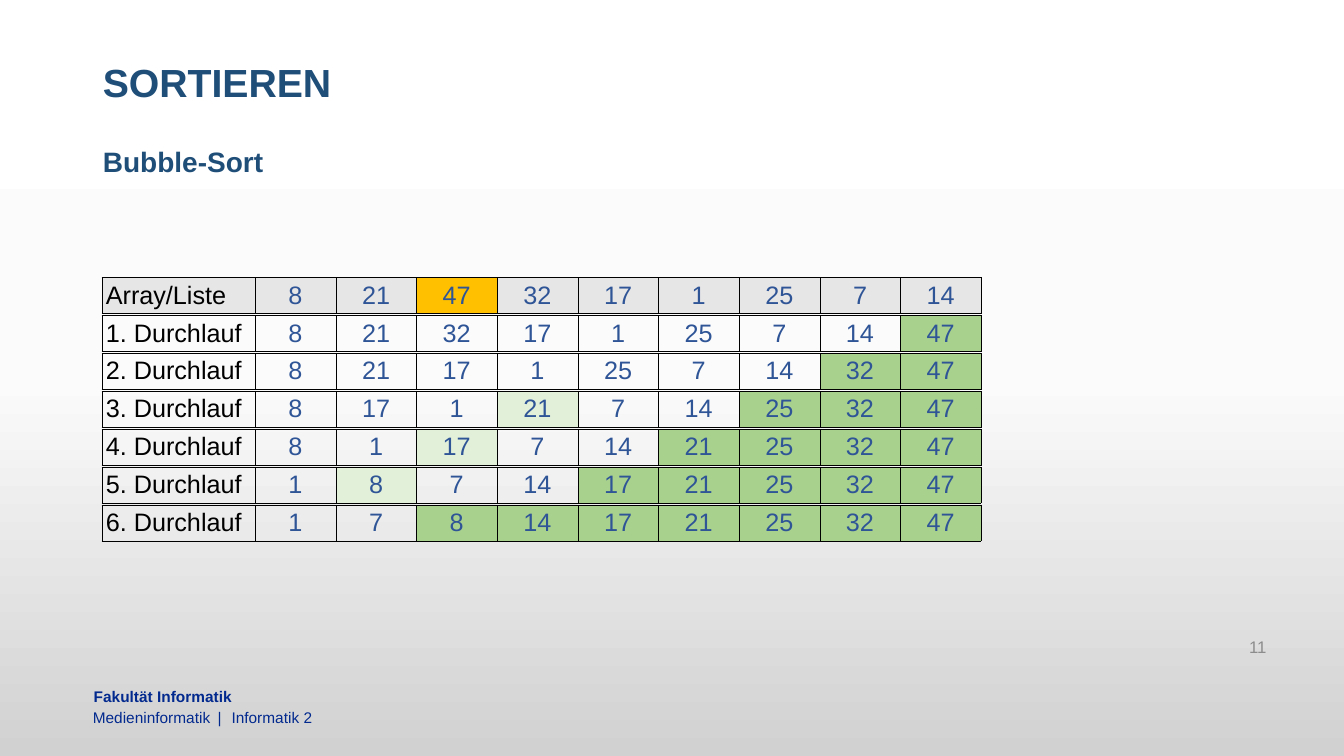
from copy import deepcopy
from dataclasses import dataclass

from lxml.etree import SubElement as Sub
from pptx import Presentation
from pptx.dml.color import RGBColor
from pptx.enum.text import MSO_ANCHOR as Anchor, MSO_AUTO_SIZE as Fit, PP_ALIGN as Align
from pptx.oxml.ns import qn
from pptx.util import Inches, Pt

NAVY = RGBColor(0x1F, 0x4E, 0x79)
ROYAL = RGBColor(0x02, 0x29, 0x8E)
BLUE = RGBColor(0x2F, 0x55, 0x97)
BLACK = RGBColor(0, 0, 0)
GREY = RGBColor(0x8C, 0x8C, 0x8C)
SILVER = RGBColor(0xE7, 0xE6, 0xE6)
GOLD = RGBColor(0xFF, 0xC0, 0x00)
GREEN = RGBColor(0xA9, 0xD1, 0x8E)
PALE = RGBColor(0xE2, 0xF0, 0xD9)
SHADES = [(0, RGBColor(0xFF, 0xFF, 0xFF)), (0.5, RGBColor(0xFB, 0xFB, 0xFB)),
          (1, RGBColor(0xD1, 0xD1, 0xD1))]

LEFT, TOP, LAST = 1.01, 2.75, 5.01
LABEL, CELL, ROW = 1.52, 0.8, 0.36


@dataclass
class Pass:
    """One state of the list: done counts the sorted values at its end."""
    label: str
    nums: list[int]
    done: int = 0
    mark: int | None = None
    tint: RGBColor = PALE
    base: RGBColor | None = None

    def shade(self, col: int) -> RGBColor | None:
        if col == self.mark:
            return self.tint
        return GREEN if col > len(self.nums) - self.done else self.base


@dataclass
class Note:
    text: str
    box: tuple[float, float, float, float]
    size: float
    color: RGBColor
    bold: bool = False
    align: Align = Align.LEFT
    anchor: Anchor = Anchor.TOP
    inset: float = 0


PASSES = [
    Pass("Array/Liste", [8, 21, 47, 32, 17, 1, 25, 7, 14], 0, 3, GOLD, SILVER),
    Pass("1. Durchlauf", [8, 21, 32, 17, 1, 25, 7, 14, 47], 1),
    Pass("2. Durchlauf", [8, 21, 17, 1, 25, 7, 14, 32, 47], 2),
    Pass("3. Durchlauf", [8, 17, 1, 21, 7, 14, 25, 32, 47], 3, 4),
    Pass("4. Durchlauf", [8, 1, 17, 7, 14, 21, 25, 32, 47], 4, 3),
    Pass("5. Durchlauf", [1, 8, 7, 14, 17, 21, 25, 32, 47], 5, 2),
    Pass("6. Durchlauf", [1, 7, 8, 14, 17, 21, 25, 32, 47], 7),
]
TITLE = Note("SORTIEREN", (0.92, 0.35, 11.5, 0.98), 28, NAVY, True,
             anchor=Anchor.MIDDLE, inset=0.1)
TOPIC = Note("Bubble-Sort", (0.92, 1.42, 11.5, 0.5), 20, NAVY, True, inset=0.1)
SCHOOL = Note("Fakultät Informatik", (0.93, 6.82, 8.5, 0.2), 11, ROYAL, True)
COURSE = Note("Medieninformatik", (0.92, 7.02, 8.52, 0.19), 11, ROYAL)
NUMBER = Note("11", (9.55, 6.22, 3.11, 0.4), 12, GREY, align=Align.RIGHT,
              anchor=Anchor.MIDDLE, inset=0.1)


def style(par, size: float, color: RGBColor, bold: bool, align: Align) -> None:
    par.alignment = align
    font = par.font
    font.name, font.size, font.bold = "Arial", Pt(size), bold
    font.color.rgb = color


def write(shape, note: Note):
    shape.left, shape.top, shape.width, shape.height = map(Inches, note.box)
    frame = shape.text_frame
    frame.word_wrap, frame.auto_size = True, Fit.NONE
    frame.vertical_anchor = note.anchor
    frame.margin_left = frame.margin_right = Inches(note.inset)
    frame.margin_top = frame.margin_bottom = Inches(note.inset / 2)
    frame.text = note.text
    par = frame.paragraphs[0]
    par.space_before = Pt(0)
    if shape.is_placeholder:
        par.line_spacing = 0.9
        props = par._p.get_or_add_pPr()
        props.set("marL", "0")
        props.set("indent", "0")
        Sub(props, qn("a:buNone"))
    style(par, note.size, note.color, note.bold, note.align)
    return par


def edge(cell) -> None:
    props = cell._tc.get_or_add_tcPr()
    for side in ("lnL", "lnR", "lnT", "lnB"):
        line = Sub(props, qn(f"a:{side}"), w=str(Pt(0.25)))
        Sub(Sub(line, qn("a:solidFill")), qn("a:srgbClr"), val=str(BLACK))


def draw_pass(slide, item: Pass, top: float) -> None:
    texts = [item.label, *map(str, item.nums)]
    wide = LABEL + CELL * len(item.nums)
    table = slide.shapes.add_table(1, len(texts), Inches(LEFT), Inches(top),
                                   Inches(wide), Inches(ROW)).table
    table.first_row = table.horz_banding = False
    for col, text in enumerate(texts):
        table.columns[col].width = Inches(CELL if col else LABEL)
        cell = table.cell(0, col)
        cell.text = text
        cell.margin_left = cell.margin_right = Inches(0.04)
        cell.margin_top = cell.margin_bottom = Inches(0.04)
        style(cell.text_frame.paragraphs[0], 18, BLUE if col else BLACK, False,
              Align.CENTER if col else Align.LEFT)
        edge(cell)
        shade = item.shade(col)
        if shade is None:
            cell.fill.background()
        else:
            cell.fill.solid()
            cell.fill.fore_color.rgb = shade


def paint(slide) -> None:
    fill = slide.background.fill
    fill.gradient()
    fill.gradient_angle = 270
    stops = slide.element.find(".//" + qn("a:gsLst"))
    stops.insert(1, deepcopy(stops[0]))
    for stop, (place, color) in zip(fill.gradient_stops, SHADES):
        stop.position, stop.color.rgb = place, color


def main() -> None:
    deck = Presentation()
    deck.slide_width, deck.slide_height = Inches(13.33), Inches(7.5)
    slide = deck.slides.add_slide(deck.slide_layouts[1])
    paint(slide)

    # Heading
    write(slide.shapes.title, TITLE)
    write(slide.placeholders[1], TOPIC)

    # Footer, with wider gaps around the bar
    for note in (SCHOOL, COURSE, NUMBER):
        par = write(slide.shapes.add_textbox(0, 0, 0, 0), note)
        if note is COURSE:
            bar = par.add_run()
            bar.text = " | "
            bar.font._element.set("spc", "200")
            par.add_run().text = "Informatik 2"

    # Passes of the sort
    step = (LAST - TOP) / (len(PASSES) - 1)
    for row, item in enumerate(PASSES):
        draw_pass(slide, item, TOP + row * step)

    deck.save("out.pptx")


if __name__ == "__main__":
    main()
